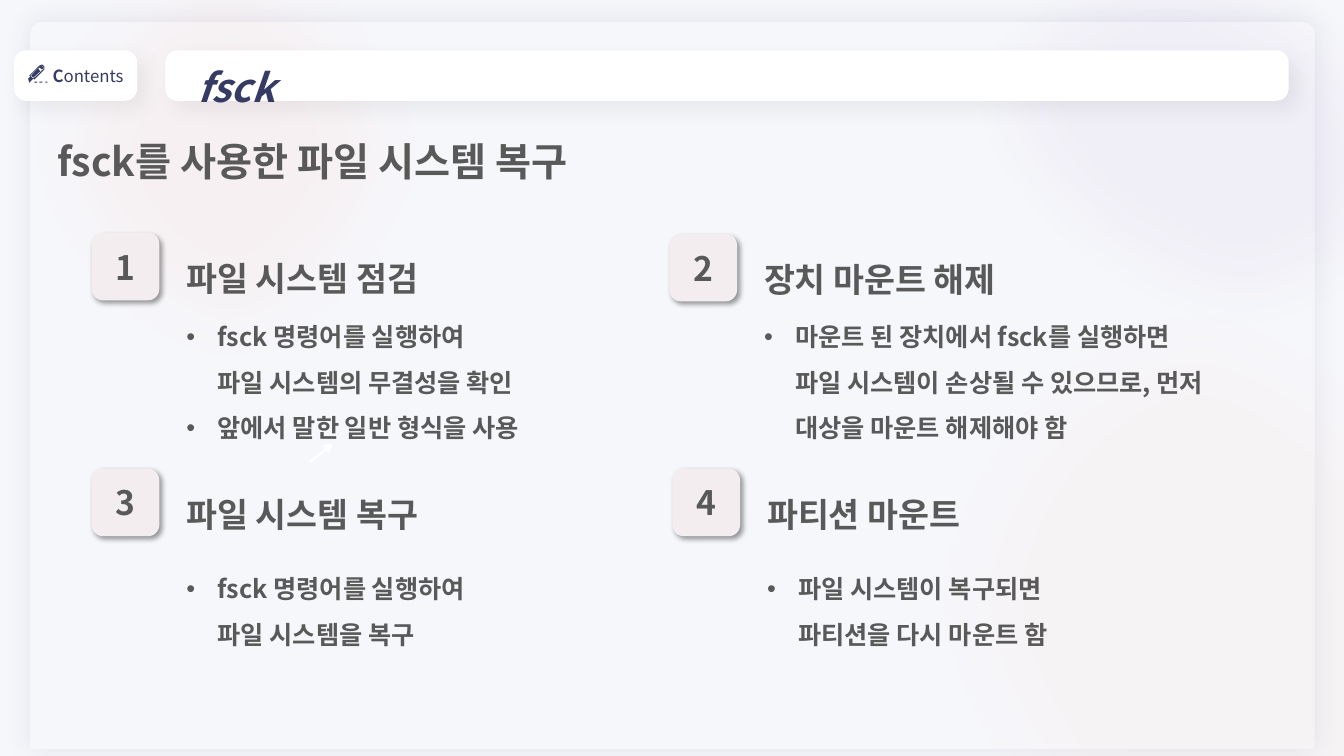
import pptx
import pptx.dml.color
import pptx.enum.shapes
import pptx.enum.text
import pptx.oxml.ns
import pptx.util
from lxml import etree

Inches = pptx.util.Inches
Pt = pptx.util.Pt
PRESET = pptx.enum.shapes.MSO_SHAPE
ALIGN = pptx.enum.text.PP_ALIGN
ANCHOR = pptx.enum.text.MSO_ANCHOR
FONT = "Noto Sans CJK KR"
NAVY, GRAY, WHITE, PALE, BADGE = "363B64", "595959", "FFFFFF", "F6F7FB", "F3EDEF"
BAR_SHADOW = ("000000", 5, 15, 8, 45)
BADGE_SHADOW = ("000000", 40, 4, 3, 45)

STEPS = [
    (0.91, 2.31, 0.68, 4.06, "파일 시스템 점검",
     ["fsck 명령어를 실행하여 \v파일 시스템의 무결성을 확인", "앞에서 말한 일반 형식을 사용"]),
    (6.64, 2.32, 0.67, 4.7, "장치 마운트 해제",
     ["마운트 된 장치에서 fsck를 실행하면 파일 시스템이 손상될 수 있으므로, 먼저 대상을 마운트 해제해야 함"]),
    (0.91, 4.65, 0.84, 4.06, "파일 시스템 복구",
     ["fsck 명령어를 실행하여 \v파일 시스템을 복구"]),
    (6.67, 4.65, 0.84, 3.5, "파티션 마운트",
     ["파일 시스템이 복구되면 파티션을 다시 마운트 함"]),
]
GLOWS = [
    (0, -0.97, 4.5, 4.91, 0, "FD9374", 7),
    (9.7, -1.49, 4.5, 5.63, 291.5, "7030A0", 4),
    (9.01, 2.62, 6.26, 7.27, 339.8, "FC9974", 4),
]
PENCIL_PARTS = [
    ([(1, 18), (5, 14), (6, 15), (16, 5), (16, 2), (14, 0), (11, 1), (1, 11), (2, 12), (0, 14)],
     [(11, 2), (13, 1), (15, 2), (15, 5), (5, 14), (2, 11)]),
    ([(5, 13), (14, 5), (15, 3), (13, 1), (11, 2), (3, 11)],
     [(11, 3), (14, 5), (12, 7), (10, 4)]),
]


def rgb(color):
    return pptx.dml.color.RGBColor.from_string(color)


def sub(parent, tag, **attributes):
    return etree.SubElement(parent, pptx.oxml.ns.qn("a:" + tag), **attributes)


def paint(shape, color):
    shape.shadow.inherit = False
    shape.fill.solid()
    shape.fill.fore_color.rgb = rgb(color)
    shape.line.fill.background()


def effects_of(shape):
    return shape.element.spPr.find(pptx.oxml.ns.qn("a:effectLst"))


def add_shadow(shape, color, opacity, blur, distance, angle):
    shadow = sub(effects_of(shape), "outerShdw", blurRad=str(Pt(blur)), dist=str(Pt(distance)),
                 dir=str(angle * 60000), algn="ctr", rotWithShape="0")
    sub(sub(shadow, "srgbClr", val=color), "alpha", val=str(opacity * 1000))


def add_block(slide, preset, left, top, width, height, color):
    block = slide.shapes.add_shape(preset, Inches(left), Inches(top), Inches(width), Inches(height))
    paint(block, color)
    return block


def format_paragraph(paragraph, size, color, spacing=1.5, align=ALIGN.LEFT):
    paragraph.alignment = align
    paragraph.line_spacing = spacing
    for run in paragraph.runs:
        run.font.size = Pt(size)
        run.font.bold = True
        run.font.color.rgb = rgb(color)
        run.font.name = FONT
        sub(run.font._element, "ea", typeface=FONT)


def add_bullet(paragraph):
    properties = paragraph._p.get_or_add_pPr()
    properties.set("marL", str(Inches(0.31)))
    properties.set("indent", str(-Inches(0.31)))
    sub(properties, "buFont", typeface="Arial")
    sub(properties, "buChar", char="•")


def add_text(slide, left, top, width, height, lines, size, bulleted=False):
    box = slide.shapes.add_textbox(Inches(left), Inches(top), Inches(width), Inches(height))
    frame = box.text_frame
    frame.word_wrap = True
    frame.auto_size = pptx.enum.text.MSO_AUTO_SIZE.SHAPE_TO_FIT_TEXT
    frame.text = lines[0]
    for line in lines[1:]:
        frame.add_paragraph().text = line
    for paragraph in frame.paragraphs:
        format_paragraph(paragraph, size, GRAY)
        if bulleted:
            add_bullet(paragraph)


def draw_backdrop(slide, left, top, width, height):
    slide.background.fill.solid()
    slide.background.fill.fore_color.rgb = rgb(PALE)
    panel = add_block(slide, PRESET.ROUND_2_SAME_RECTANGLE, left, top, width, height, PALE)
    panel.adjustments[0] = 0.016
    add_shadow(panel, NAVY, 10, 18, 0, 0)
    for *box, rotation, color, opacity in GLOWS:
        glow = add_block(slide, PRESET.OVAL, *box, color)
        glow.rotation = rotation
        fill_color = glow.element.spPr.find(".//" + pptx.oxml.ns.qn("a:srgbClr"))
        sub(fill_color, "alpha", val=str(opacity * 1000))
        sub(effects_of(glow), "softEdge", rad=str(Pt(50)))


def draw_pencil(slide, left, top):
    for outline, hole in PENCIL_PARTS:
        builder = slide.shapes.build_freeform(*outline[0], scale=Inches(0.01))
        builder.add_line_segments(outline[1:], close=True)
        builder.move_to(*hole[0])
        builder.add_line_segments(hole[1:], close=True)
        paint(builder.convert_to_shape(Inches(left), Inches(top)), NAVY)
    for dash_left, dash_width in [(0.06, 0.03), (0.11, 0.03), (0.17, 0.02)]:
        add_block(slide, PRESET.RECTANGLE, left + dash_left, top + 0.17, dash_width, 0.01, NAVY)


def draw_bar(slide, left, top, width, height):
    bar = add_block(slide, PRESET.ROUNDED_RECTANGLE, left, top, width, height, WHITE)
    bar.adjustments[0] = 0.237
    add_shadow(bar, *BAR_SHADOW)
    bar.text_frame.vertical_anchor = ANCHOR.MIDDLE
    return bar.text_frame


def draw_header(slide, left, top, width, height):
    contents = draw_bar(slide, left, top, 1.22, height)
    label = contents.paragraphs[0]
    label.text = "C"
    label.add_run().text = "ontents"
    format_paragraph(label, 12, NAVY, 1, ALIGN.RIGHT)
    label.runs[1].font.bold = False
    draw_pencil(slide, left + 0.14, top + 0.14)

    topic = draw_bar(slide, left + 1.5, top, width - 1.5, height)
    topic.margin_left = Inches(0.28)
    topic.text = "fsck"
    format_paragraph(topic.paragraphs[0], 28, NAVY)
    topic.paragraphs[0].runs[0].font.italic = True


def draw_title(slide, left, top, width, height):
    title = slide.shapes.title
    title.element.getparent().append(title.element)
    title.left, title.top = Inches(left), Inches(top)
    title.width, title.height = Inches(width), Inches(height)
    frame = title.text_frame
    frame.text = "fsck를 사용한 파일 시스템 복구"
    frame.vertical_anchor = ANCHOR.TOP
    frame.word_wrap = True
    frame.auto_size = pptx.enum.text.MSO_AUTO_SIZE.SHAPE_TO_FIT_TEXT
    format_paragraph(frame.paragraphs[0], 28, GRAY)


def draw_arrow(slide, left, top, width, height):
    arrow = slide.shapes.add_connector(pptx.enum.shapes.MSO_CONNECTOR.STRAIGHT, Inches(left),
                                       Inches(top + height), Inches(left + width), Inches(top))
    arrow.line.color.rgb = rgb(WHITE)
    arrow.line.width = Pt(1.75)
    sub(arrow.line._get_or_add_ln(), "tailEnd", type="arrow")
    sub(arrow._element.spPr, "effectLst")


def draw_step(slide, left, top, number, body_drop, body_width, heading, details):
    badge = add_block(slide, PRESET.ROUNDED_RECTANGLE, left, top, 0.67, 0.67, BADGE)
    add_shadow(badge, *BADGE_SHADOW)
    badge.text_frame.text = str(number)
    badge.text_frame.vertical_anchor = ANCHOR.MIDDLE
    format_paragraph(badge.text_frame.paragraphs[0], 24, GRAY, 1, ALIGN.CENTER)
    text_left = left + 0.84
    add_text(slide, text_left, top, 2.79, 0.63, [heading], 24)
    body_height = 0.95 if body_drop > 0.8 else 1.41
    add_text(slide, text_left, top + body_drop, body_width, body_height, details, 18, True)


def main():
    deck = pptx.Presentation()
    deck.slide_width, deck.slide_height = Inches(13.33), Inches(7.5)
    slide = deck.slides.add_slide(deck.slide_layouts[5])
    draw_backdrop(slide, 0.3, 0.22, 12.74, 7.21)
    draw_header(slide, 0.14, 0.5, 12.64, 0.5)
    draw_title(slide, 0.47, 1.08, 12.31, 0.72)
    draw_arrow(slide, 3.08, 4.4, 0.22, 0.18)
    for number, (left, top, *content) in enumerate(STEPS, 1):
        draw_step(slide, left, top, number, *content)
    deck.save("out.pptx")


if __name__ == "__main__":
    main()
